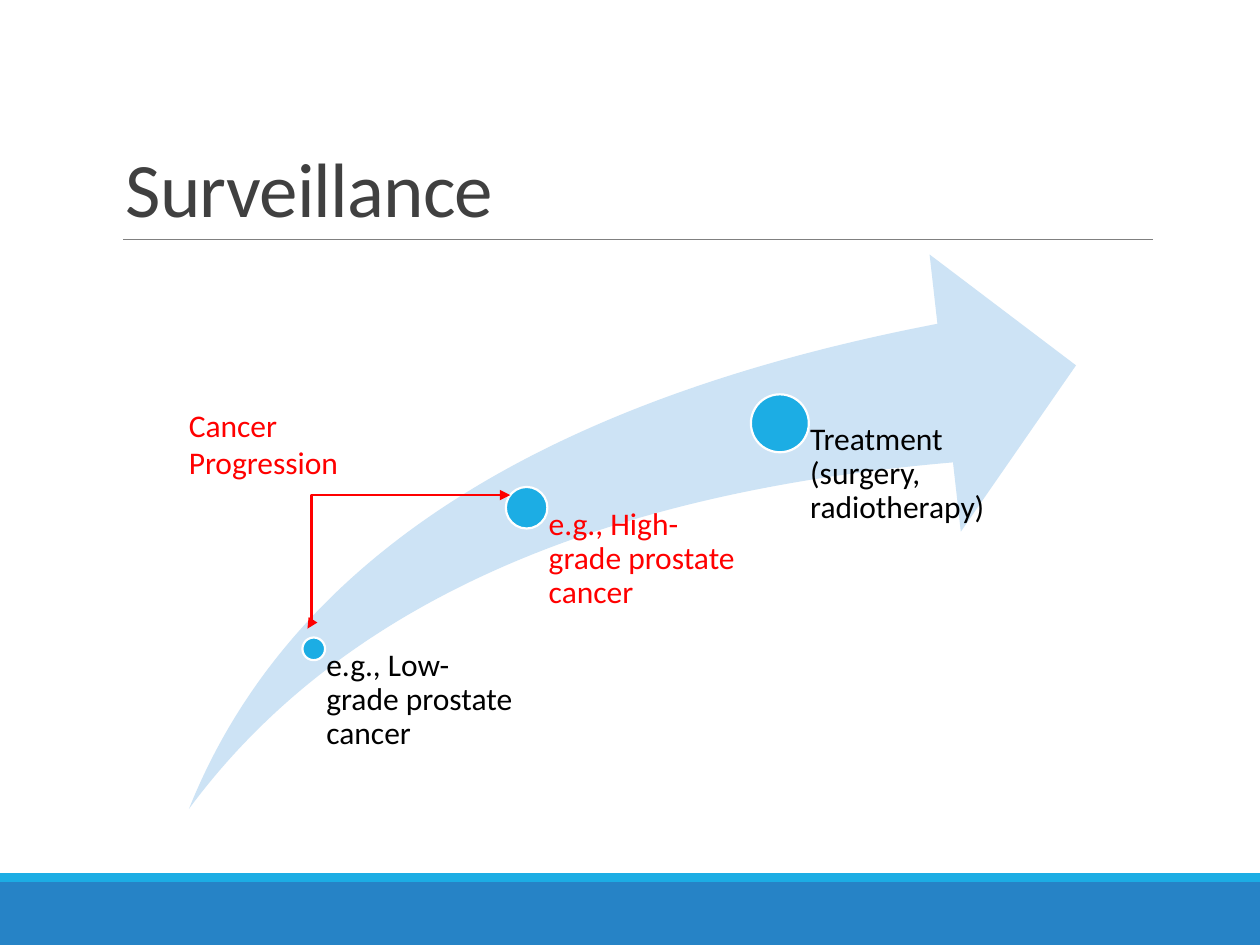
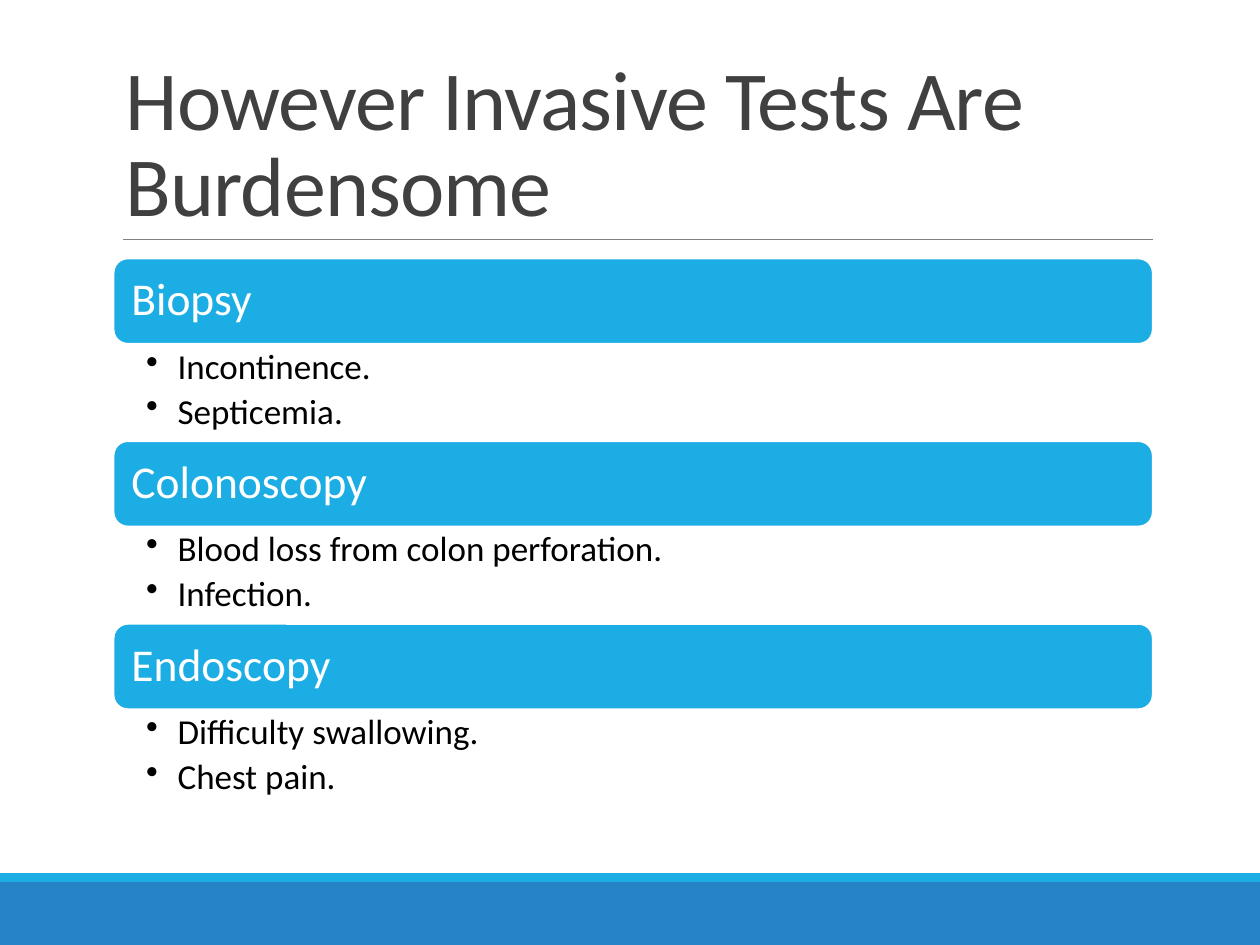
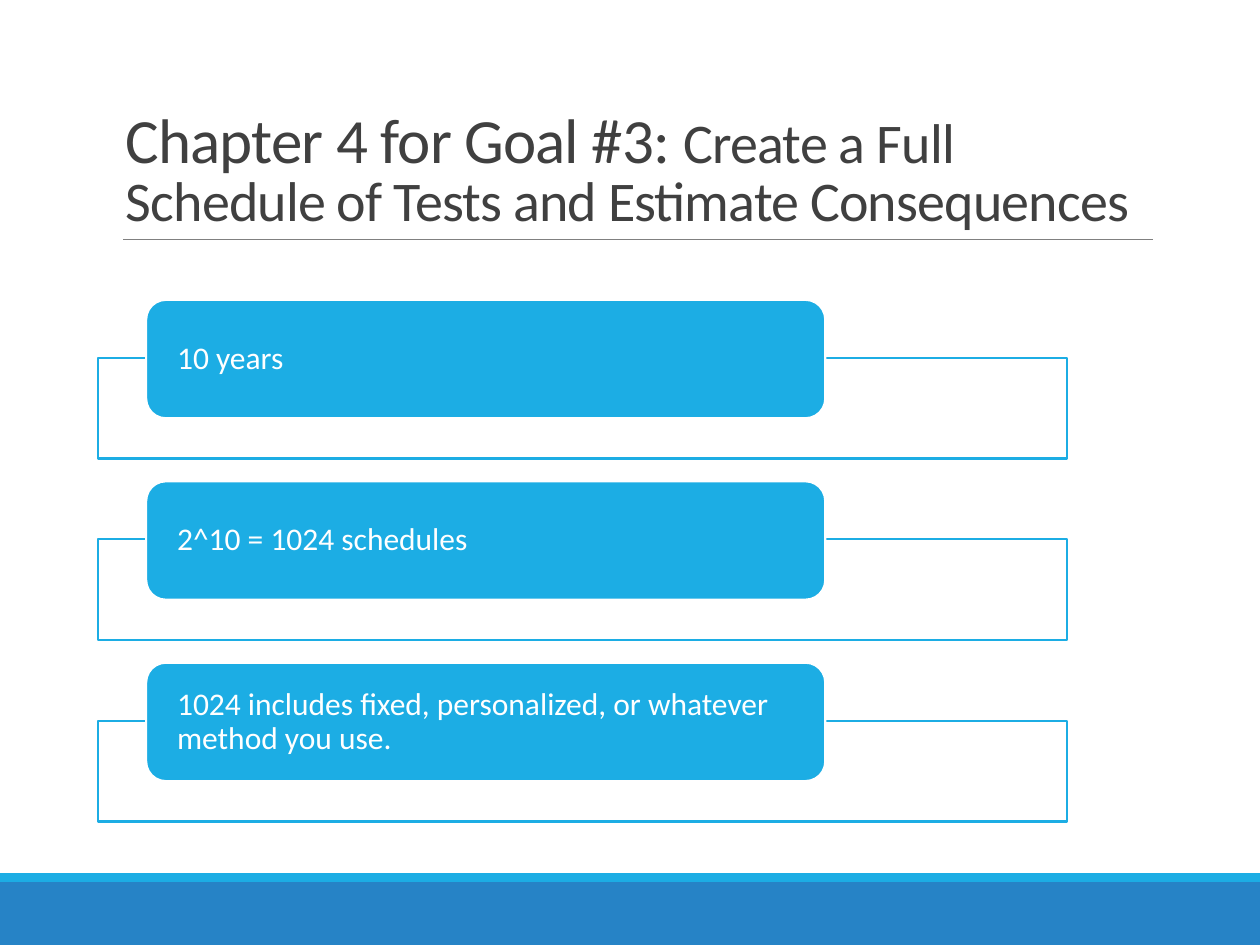
from dataclasses import dataclass

from lxml.etree import SubElement
from pptx import Presentation
from pptx.dml.color import RGBColor
from pptx.enum.shapes import MSO_CONNECTOR as Link, MSO_SHAPE as Shape
from pptx.enum.text import MSO_ANCHOR as Anchor, PP_ALIGN as Align
from pptx.oxml.ns import qn
from pptx.util import Inches, Pt


@dataclass(frozen=True)
class Theme:
    """Colours, font and type sizes of the deck."""
    font: str = "Calibri"
    white: str = "FFFFFF"
    black: str = "000000"
    heading: str = "404040"
    rule: str = "808080"
    band: str = "2683C6"
    accent: str = "1CADE4"
    swoosh: str = "CDE3F5"
    alert: str = "FF0000"
    body: int = 18
    bullet: int = 20
    card: int = 26
    outline: float = 1.25


class Deck:
    """Draws themed elements on the current slide."""

    def __init__(self, theme):
        self.theme = theme
        self.presentation = Presentation()
        self.presentation.slide_width = Inches(10)
        self.presentation.slide_height = Inches(7.5)
        self.slide = None

    def new_slide(self, *title):
        """Start a slide with bands, rule and a title of (text, size) pieces."""
        theme = self.theme
        self.slide = self.presentation.slides.add_slide(self.presentation.slide_layouts[6])
        self.shape(Shape.RECTANGLE, (0, 7, 10, 0.5), theme.band)
        self.shape(Shape.RECTANGLE, (0, 6.93, 10, 0.07), theme.accent)
        self.line(Link.STRAIGHT, (0.98, 1.9), (9.15, 1.9), theme.rule, 0.5)
        frame = self.textbox((0.9, 0.31, 8.25, 1.59)).text_frame
        frame.vertical_anchor = Anchor.BOTTOM
        heading = frame.paragraphs[0]
        self.style(heading, None, theme.heading, 0.85)
        for words, size in title:
            piece = heading.add_run()
            piece.text = words
            piece.font.size = Pt(size)
            piece._r.get_or_add_rPr().set("spc", "-50")

    def shape(self, preset, box, fill, outline=None):
        """Add a flat preset shape."""
        shape = self.slide.shapes.add_shape(preset, *map(Inches, box))
        shape.shadow.inherit = False
        shape.fill.solid()
        shape.fill.fore_color.rgb = RGBColor.from_string(fill)
        if outline:
            shape.line.color.rgb = RGBColor.from_string(outline)
            shape.line.width = Pt(self.theme.outline)
        else:
            shape.line.fill.background()
        return shape

    def line(self, kind, start, end, color, width):
        """Add a connector without shadow."""
        line = self.slide.shapes.add_connector(kind, *map(Inches, start + end))
        line.line.color.rgb = RGBColor.from_string(color)
        line.line.width = Pt(width)
        SubElement(line._element.spPr, qn("a:effectLst"))
        return line

    def double_arrow(self, start, end, color, bend):
        """Add an elbow with two arrowheads, bent at a share of its width."""
        arrow = self.line(Link.ELBOW, start, end, color, self.theme.outline)
        properties = arrow._element.spPr
        guides = properties.find(qn("a:prstGeom")).get_or_add_avLst()
        SubElement(guides, qn("a:gd"), name="adj1", fmla=f"val {round(bend * 100000)}")
        for tip in ("a:headEnd", "a:tailEnd"):
            SubElement(properties.find(qn("a:ln")), qn(tip), type="triangle")

    def textbox(self, box, insets=(0.1, 0.05, 0.1, 0.05)):
        """Add an empty wrapping text box."""
        box = self.slide.shapes.add_textbox(*map(Inches, box))
        self.inset(box.text_frame, insets)
        return box

    def inset(self, frame, insets):
        """Wrap the text and set left, top, right and bottom margins."""
        frame.word_wrap = True
        (frame.margin_left, frame.margin_top,
         frame.margin_right, frame.margin_bottom) = map(Inches, insets)

    def style(self, paragraph, size, color, spacing=0.9):
        """Set font, colour and spacing of a paragraph."""
        paragraph.alignment = Align.LEFT
        paragraph.line_spacing = spacing
        paragraph.font.name = self.theme.font
        paragraph.font.color.rgb = RGBColor.from_string(color)
        if size:
            paragraph.font.size = Pt(size)

    def label(self, words, box, color, spacing=0.9, **margins):
        """Add a single body paragraph."""
        paragraph = self.textbox(box, **margins).text_frame.paragraphs[0]
        paragraph.text = words
        self.style(paragraph, self.theme.body, color, spacing)

    def card(self, words, box, size, insets):
        """Add a rounded accent card with white text."""
        frame = self.shape(Shape.ROUNDED_RECTANGLE, box, self.theme.accent, self.theme.white).text_frame
        self.inset(frame, insets)
        frame.vertical_anchor = Anchor.MIDDLE
        frame.paragraphs[0].text = words
        self.style(frame.paragraphs[0], size, self.theme.white)

    def bullets(self, items, box):
        """Add a bulleted list."""
        frame = self.textbox(box, (0.26, 0.04, 0.2, 0.04)).text_frame
        frame.text = "\n".join(items)
        for paragraph in frame.paragraphs:
            properties = paragraph._p.get_or_add_pPr()
            properties.set("marL", str(Inches(0.25)))
            properties.set("indent", str(Inches(-0.25)))
            SubElement(properties, qn("a:buChar"), char="•")
            self.style(paragraph, self.theme.bullet, self.theme.black)
            paragraph.space_after = Pt(4)

    def milestone(self, words, center, diameter, width, color):
        """Add a dot with its label below and to the right."""
        x, y = center
        radius = diameter / 2
        self.shape(Shape.OVAL, (x - radius, y - radius, diameter, diameter),
                   self.theme.accent, self.theme.white)
        self.label(words, (x, y, width, 6.42 - y), color, insets=(radius + 0.01, 0, 0, 0))


def surveillance(deck):
    """Build the slide on cancer progression."""
    theme = deck.theme
    deck.new_slide(("Surveillance", 44))
    swoosh = deck.shape(Shape.SWOOSH_ARROW, (1.5, 2.02, 7.04, 4.4), theme.swoosh)
    swoosh.adjustments[0] = swoosh.adjustments[1] = 0.25
    for milestone in (
        ("e.g., Low-grade prostate cancer", (2.49, 5.15), 0.18, 1.64, theme.black),
        ("e.g., High-grade prostate cancer", (4.18, 4.03), 0.33, 1.69, theme.alert),
        ("Treatment (surgery, radiotherapy)", (6.19, 3.36), 0.46, 1.69, theme.black),
    ):
        deck.milestone(*milestone)
    deck.double_arrow((2.44, 4.99), (4.05, 3.93), theme.alert, 0.02)
    deck.label("Cancer Progression", (1.4, 3.17, 1.43, 0.71), theme.alert, 1.0)


def burdens(deck):
    """Build the slide on the burden of invasive tests."""
    deck.new_slide(("However Invasive Tests Are Burdensome", 48))
    tests = {
        "Biopsy": ("Incontinence.", "Septicemia."),
        "Colonoscopy": ("Blood loss from colon perforation.", "Infection."),
        "Endoscopy": ("Difficulty swallowing.", "Chest pain."),
    }
    for row, (test, harms) in enumerate(tests.items()):
        top = 2.05 + 1.45 * row
        deck.card(test, (0.9, top, 8.25, 0.68), deck.theme.card, (0.11,) * 4)
        deck.bullets(harms, (0.9, top + 0.68, 8.25, 0.77))


def schedules(deck):
    """Build the slide on counting test schedules."""
    theme = deck.theme
    deck.new_slide(("Chapter 4 for Goal #3: ", 36),
                   ("Create a Full Schedule of Tests and Estimate Consequences", 32))
    facts = ("10 years", "2^10 = 1024 schedules",
             "1024 includes fixed, personalized, or whatever method you use.")
    for row, fact in enumerate(facts):
        top = 2.84 + 1.44 * row
        deck.shape(Shape.RECTANGLE, (0.78, top, 7.69, 0.8), theme.white, theme.accent)
        deck.card(fact, (1.16, top - 0.46, 5.39, 0.94), theme.body, (0.2, 0, 0.2, 0))


def main():
    """Build and save the deck."""
    deck = Deck(Theme())
    for build in (surveillance, burdens, schedules):
        build(deck)
    deck.presentation.save("out.pptx")


if __name__ == "__main__":
    main()
